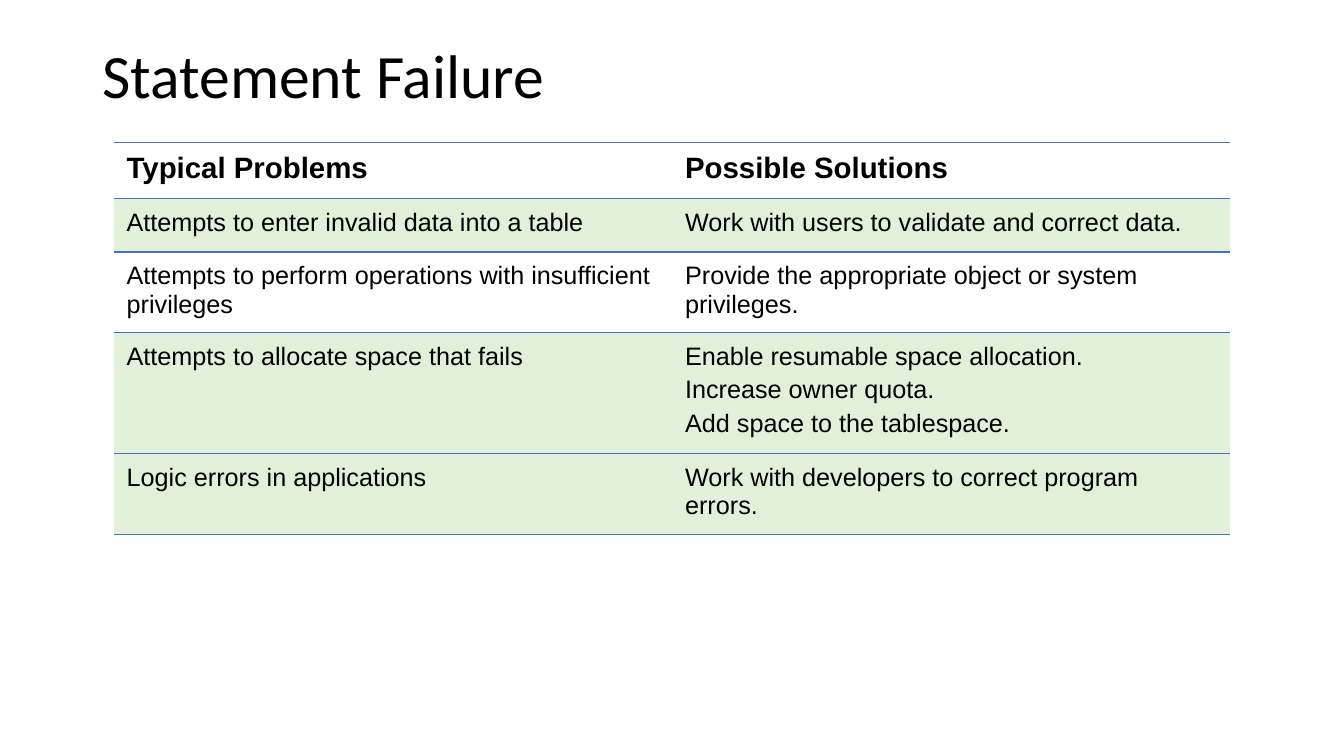
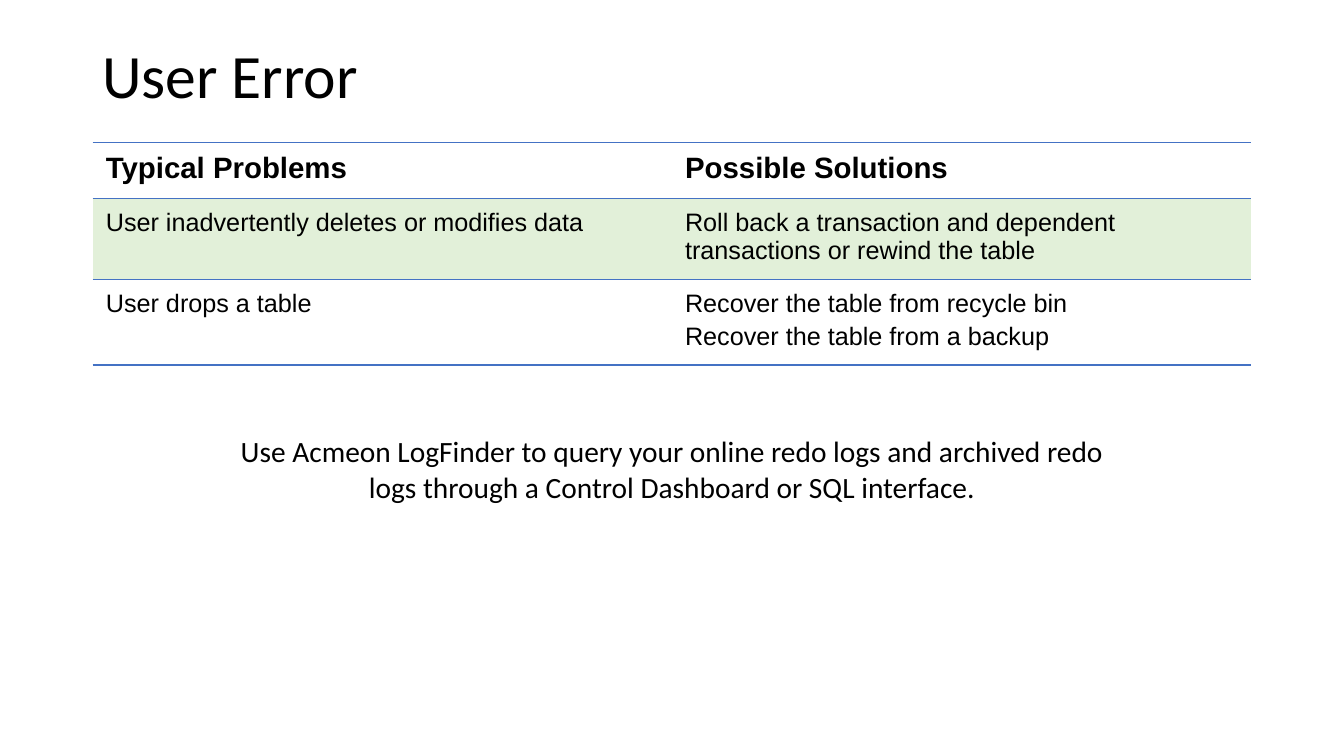
import pptx
import pptx.util
import pptx.dml.color
import pptx.enum.text
import pptx.oxml
import pptx.oxml.ns

Pt = pptx.util.Pt
INK = pptx.dml.color.RGBColor(0x00, 0x00, 0x00)
BLUE = pptx.dml.color.RGBColor(0x44, 0x72, 0xC4)
MINT = pptx.dml.color.RGBColor(0xE2, 0xF0, 0xD9)
NS = pptx.oxml.ns.nsdecls("a")
HEAD = ("Typical Problems", "Possible Solutions", 7.47, False)


class Deck:
    """Holds the style and the current slide; lengths are percent of the slide."""

    def __init__(self):
        self.prs = pptx.Presentation()
        self.prs.slide_width = pptx.util.Inches(13.33)
        self.prs.slide_height = pptx.util.Inches(7.5)

    def x(self, share):
        return round(self.prs.slide_width * share / 100)

    def y(self, share):
        return round(self.prs.slide_height * share / 100)

    def style(self, para, size, font, bold=False):
        for run in para.runs:
            run.font.size = Pt(size)
            run.font.name = font
            run.font.bold = bold
            run.font.color.rgb = INK

    def text(self, text, top, wide, high, size):
        left = (100 - wide) / 2
        box = self.slide.shapes.add_textbox(
            self.x(left), self.y(top), self.x(wide), self.y(high))
        frame = box.text_frame
        frame.word_wrap = True
        frame.text = text
        para = frame.paragraphs[0]
        self.style(para, size, "Calibri")
        return para

    def page(self, title):
        self.slide = self.prs.slides.add_slide(self.prs.slide_layouts[6])
        self.text(title, 5.33, 86.25, 19.33, 44).line_spacing = 0.9

    def edge(self, cell):
        props = cell._tc.get_or_add_tcPr()
        solid = f'<a:solidFill><a:srgbClr val="{BLUE}"/></a:solidFill>'
        for side in "LRTB":
            paint = solid if side in "TB" else "<a:noFill/>"
            props.append(pptx.oxml.parse_xml(
                f'<a:ln{side} {NS} w="{Pt(1)}">{paint}</a:ln{side}>'))

    def cell(self, cell, text, head, tint):
        cell.margin_left = cell.margin_right = pptx.util.Inches(0.13)
        cell.margin_top = cell.margin_bottom = pptx.util.Inches(0.1)
        self.edge(cell)
        if tint:
            cell.fill.solid()
            cell.fill.fore_color.rgb = MINT
        else:
            cell.fill.background()
        cell.text_frame.text = text
        for i, para in enumerate(cell.text_frame.paragraphs):
            self.style(para, 21 if head else 18, "Arial", head)
            para.space_before = Pt(3.6 if i else 0)

    def table(self, wide, rows):
        rows = [HEAD, *rows]
        high = sum(row[2] for row in rows)
        table = self.slide.shapes.add_table(
            len(rows), 2, self.x((100 - wide) / 2), self.y(18.8),
            self.x(wide), self.y(high)).table
        table.horz_banding = False
        for r, (left, right, tall, tint) in enumerate(rows):
            table.rows[r].height = self.y(tall)
            for c, text in enumerate((left, right)):
                self.cell(table.cell(r, c), text, r == 0, tint)

    def note(self, text):
        para = self.text(text, 56.67, 67.44, 11.6, 21)
        para.alignment = pptx.enum.text.PP_ALIGN.CENTER


def main():
    deck = Deck()

    deck.page("Statement Failure")
    deck.table(83.1, [
        ("Attempts to enter invalid data into a table",
         "Work with users to validate and correct data.", 7.07, True),
        ("Attempts to perform operations with insufficient privileges",
         "Provide the appropriate object or system privileges.", 10.13, False),
        ("Attempts to allocate space that fails",
         "Enable resumable space allocation.\nIncrease owner quota.\n"
         "Add space to the tablespace.", 15.2, True),
        ("Logic errors in applications",
         "Work with developers to correct program errors.", 10.13, True),
    ])

    deck.page("User Error")
    deck.table(86.2, [
        ("User inadvertently deletes or modifies data",
         "Roll back a transaction and dependent transactions "
         "or rewind the table", 10.13, True),
        ("User drops a table",
         "Recover the table from recycle bin\n"
         "Recover the table from a backup", 10.8, False),
    ])
    deck.note("Use Acmeon LogFinder to query your online redo logs and archived "
              "redo logs through a Control Dashboard or SQL interface.")

    deck.prs.save("out.pptx")


if __name__ == "__main__":
    main()
